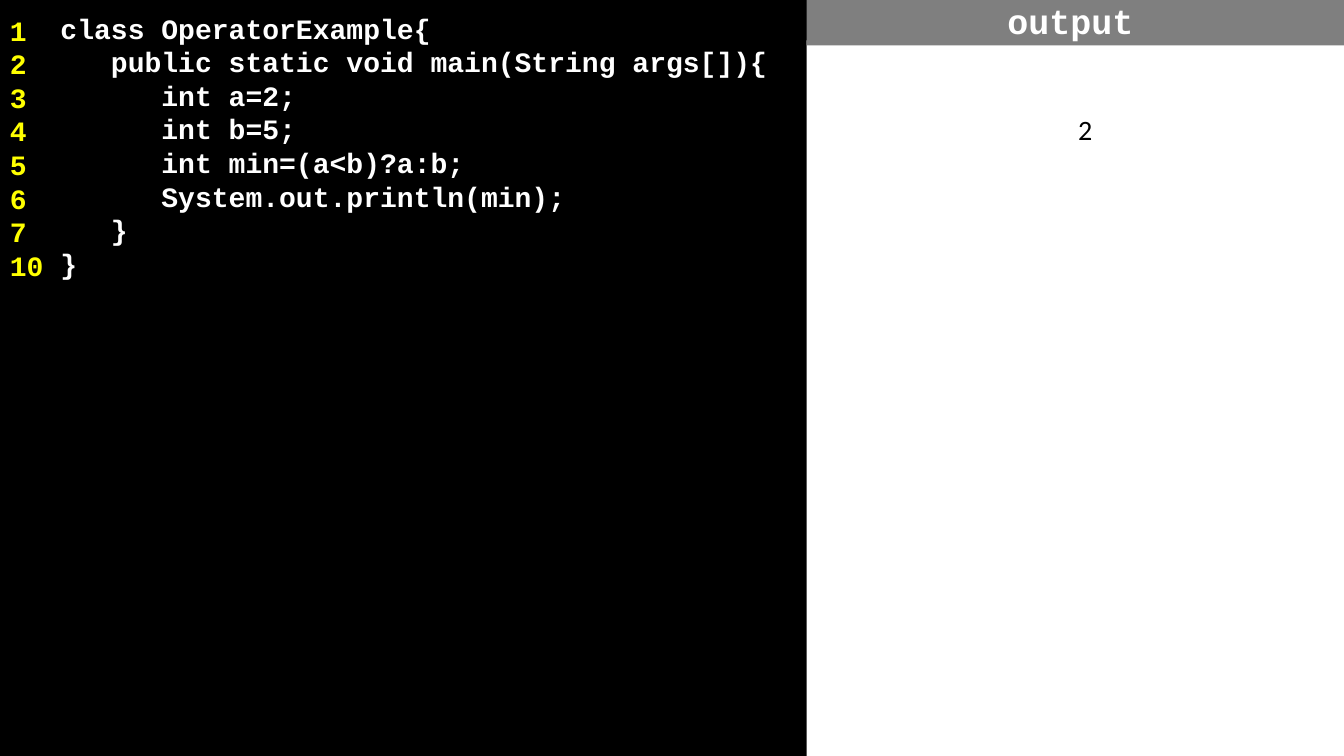
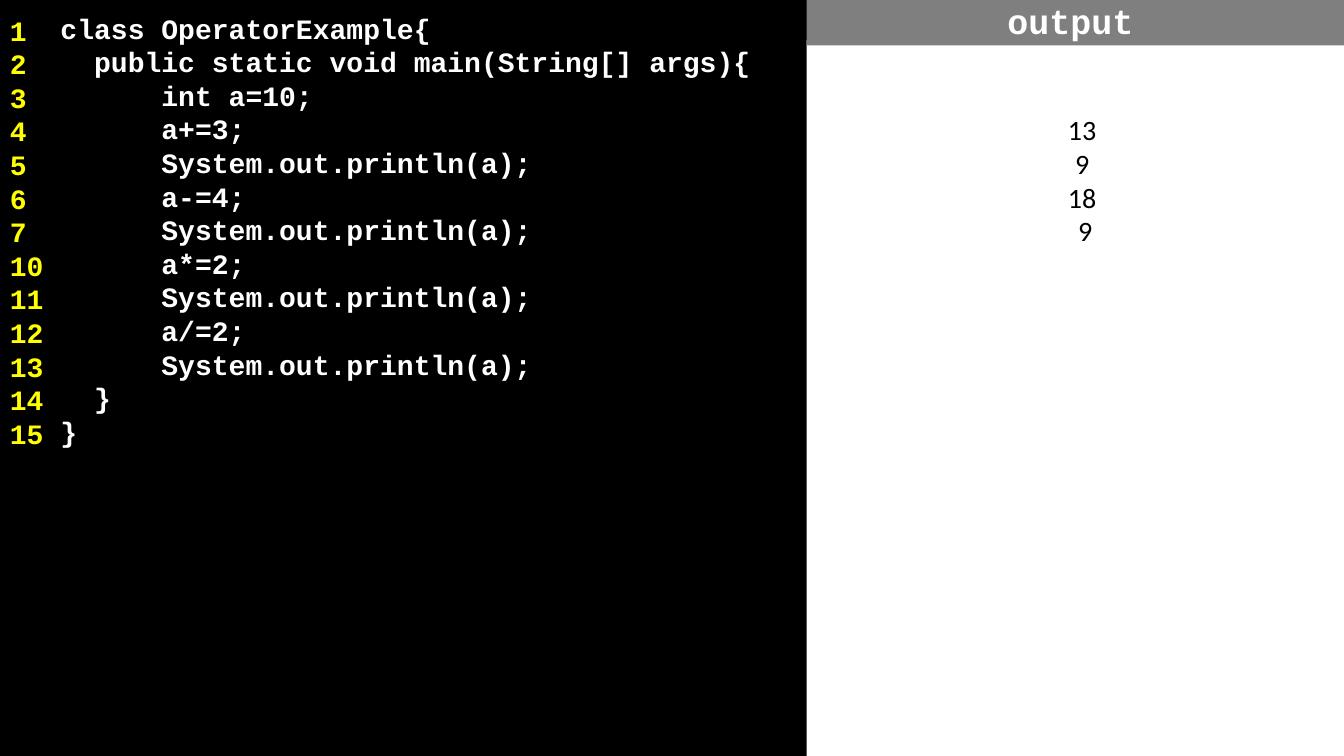
from dataclasses import dataclass

from lxml.etree import SubElement
from pptx import Presentation
from pptx.dml.color import RGBColor
from pptx.enum.shapes import MSO_SHAPE
from pptx.enum.text import MSO_ANCHOR, PP_ALIGN
from pptx.oxml.ns import qn
from pptx.shapes.autoshape import Shape
from pptx.slide import Slide
from pptx.util import Inches, Pt

BLACK, WHITE, YELLOW, GREY = "000000", "FFFFFF", "FFFF00", "7F7F7F"
CODE_FONT, OUTPUT_FONT = "Courier New", "Calibri"
SLIDE_WIDTH, SLIDE_HEIGHT = 13.33, 7.5
OUTPUT_LEFT = 8
OUTPUT_WIDTH = SLIDE_WIDTH - OUTPUT_LEFT
GUTTER_WIDTH, GUTTER_TOP = 0.58, 0.08
GUTTER_OPACITY = 68


@dataclass(frozen=True)
class TextStyle:
    font: str
    color: str
    size: float = 20
    bold: bool = True
    align: PP_ALIGN = PP_ALIGN.LEFT
    anchor: MSO_ANCHOR = MSO_ANCHOR.TOP
    line_points: float | None = 24


@dataclass(frozen=True)
class Example:
    code: str
    line_numbers: list[int]
    output: list[str]


CODE = TextStyle(CODE_FONT, WHITE)
LINE_NUMBER = TextStyle(CODE_FONT, YELLOW)
OUTPUT = TextStyle(OUTPUT_FONT, BLACK, bold=False, align=PP_ALIGN.CENTER)
HEADING = TextStyle(CODE_FONT, WHITE, size=25, align=PP_ALIGN.CENTER,
                    anchor=MSO_ANCHOR.MIDDLE, line_points=None)

EXAMPLES = [
    Example(
        """class OperatorExample{
   public static void main(String args[]){
      int a=2;
      int b=5;
      int min=(a<b)?a:b;
      System.out.println(min);
   }
}""",
        [*range(1, 8), 10],
        ["2"],
    ),
    Example(
        """class OperatorExample{
  public static void main(String[] args){
      int a=10;
      a+=3;
      System.out.println(a);
      a-=4;
      System.out.println(a);
      a*=2;
      System.out.println(a);
      a/=2;
      System.out.println(a);
  }
}""",
        [*range(1, 8), *range(10, 16)],
        ["13 ", "9 ", "18 ", "9"],
    ),
]


def rgb(color: str) -> RGBColor:
    return RGBColor.from_string(color)


def add_panel(page: Slide, left: float, top: float, width: float, height: float,
              color: str, opacity: int = 100) -> Shape:
    panel = page.shapes.add_shape(MSO_SHAPE.RECTANGLE, Inches(left), Inches(top),
                                  Inches(width), Inches(height))
    panel.shadow.inherit = False
    panel.line.fill.background()
    panel.fill.solid()
    panel.fill.fore_color.rgb = rgb(color)
    if opacity < 100:
        fill_color = panel.fill._xPr.find(qn("a:solidFill"))[0]
        SubElement(fill_color, qn("a:alpha"), val=str(opacity * 1000))
    return panel


def write_lines(panel: Shape, lines: list[str], style: TextStyle,
                insets: tuple[float, float, float, float]) -> None:
    """Fill the panel, one paragraph a line; insets are left, top, right, bottom."""
    frame = panel.text_frame
    frame.word_wrap = True
    frame.vertical_anchor = style.anchor
    (frame.margin_left, frame.margin_top,
     frame.margin_right, frame.margin_bottom) = map(Inches, insets)
    for index, line in enumerate(lines):
        paragraph = frame.add_paragraph() if index else frame.paragraphs[0]
        paragraph.add_run().text = line
        paragraph.alignment = style.align
        if style.line_points:
            paragraph.line_spacing = Pt(style.line_points)
        paragraph.font.name = style.font
        paragraph.font.size = Pt(style.size)
        paragraph.font.bold = style.bold
        paragraph.font.color.rgb = rgb(style.color)


def add_code(page: Slide, example: Example) -> None:
    listing = add_panel(page, 0, 0, 8.25, SLIDE_HEIGHT, BLACK)
    write_lines(listing, example.code.splitlines(), CODE, (0.6, 0.11, 0.1, 1))
    add_panel(page, 0, 0, GUTTER_WIDTH, GUTTER_TOP, BLACK, GUTTER_OPACITY)
    gutter = add_panel(page, 0, GUTTER_TOP, GUTTER_WIDTH, SLIDE_HEIGHT - GUTTER_TOP,
                       BLACK, GUTTER_OPACITY)
    write_lines(gutter, [str(number) for number in example.line_numbers],
                LINE_NUMBER, (0.1, 0.05, 0.1, 1))


def add_output(page: Slide, example: Example) -> None:
    result = add_panel(page, OUTPUT_LEFT, 0.4, OUTPUT_WIDTH, 7.1, WHITE)
    write_lines(result, example.output, OUTPUT, (0.2, 0.72, 0, 0))
    heading = add_panel(page, OUTPUT_LEFT, 0, OUTPUT_WIDTH, 0.45, GREY)
    write_lines(heading, ["output"], HEADING, (0, 0.05, 0.1, 0.1))


def main() -> None:
    deck = Presentation()
    deck.slide_width, deck.slide_height = Inches(SLIDE_WIDTH), Inches(SLIDE_HEIGHT)
    for example in EXAMPLES:
        page = deck.slides.add_slide(deck.slide_layouts[6])
        add_code(page, example)
        add_output(page, example)
    deck.save("out.pptx")


if __name__ == "__main__":
    main()
